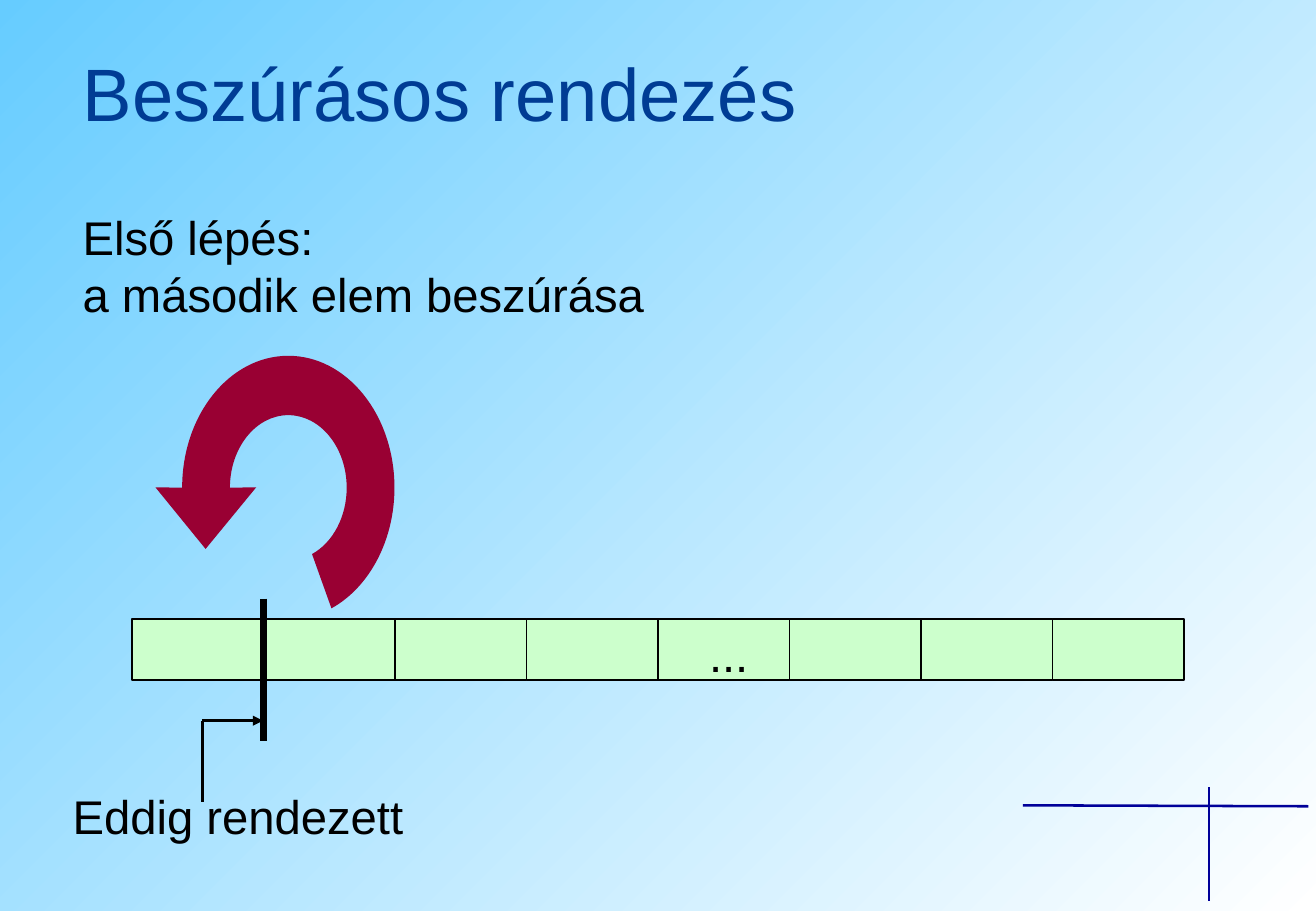
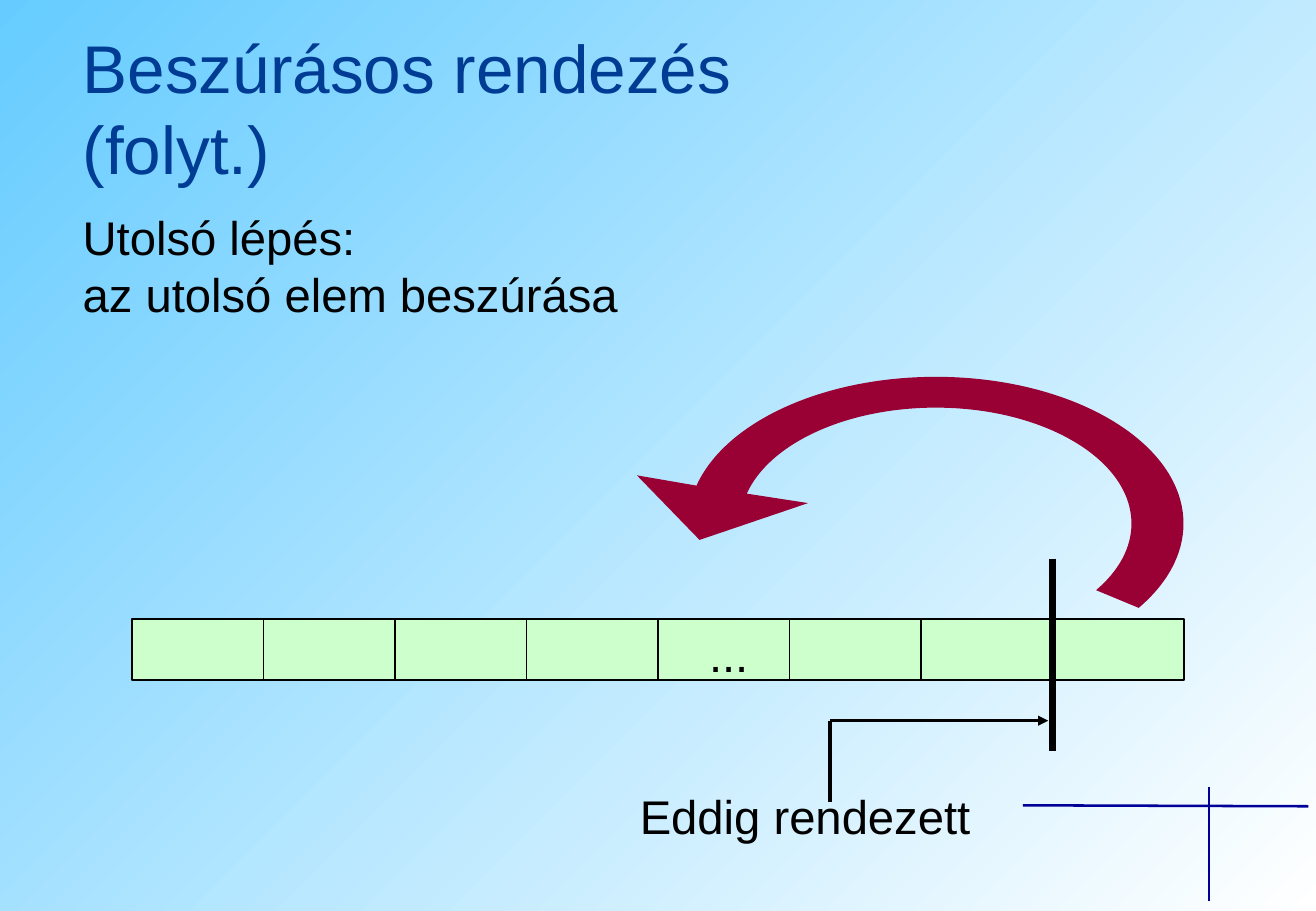
from math import cos, radians, sin, tan

from lxml import etree
from pptx import Presentation
from pptx.dml.color import RGBColor
from pptx.enum.shapes import MSO_CONNECTOR, MSO_SHAPE
from pptx.enum.text import PP_ALIGN
from pptx.oxml.ns import qn
from pptx.util import Cm, Pt

STRAIGHT = MSO_CONNECTOR.STRAIGHT
RECTANGLE = MSO_SHAPE.RECTANGLE
LEFT, CENTER = PP_ALIGN.LEFT, PP_ALIGN.CENTER

COLORS = {
    "title": "003C94",
    "text": "000000",
    "cross": "000099",
    "cell": "CCFFCC",
    "arrow": "990033",
    "sky": "66CCFF",
    "white": "FFFFFF",
}
FRAME = {
    "word_wrap": True,
    "margin_left": Cm(0.25),
    "margin_right": Cm(0.25),
    "margin_top": Cm(0.13),
    "margin_bottom": Cm(0.13),
}

# Array of cells, in cm
CELL_COUNT = 8
CELL_WIDTH, CELL_HEIGHT = 2.75, 1.27
ARRAY_LEFT, ARRAY_TOP = 2.76, 12.95

# Left edge of title and step text, height of the pointer line, in cm
TEXT_LEFT = 1.48
POINTER_TOP, POINTER_BOTTOM = 15.07, 16.77

STEPS = [
    {
        "title": ("Beszúrásos rendezés", 0.85, 22.86, 2.13, 44),
        "step": "Első lépés:\va második elem beszúrása",
        "arc": {
            "center": (6.03, 10.2), "radii": (2.22, 2.76), "inner": 0.55,
            "angles": [66, 0, -90, -180],
            "head": [(3.25, 10.19), (4.3, 11.48), (5.36, 10.19)],
        },
        "sorted_cells": 1,
        "divider": (12.52, 15.5),
        "label_left": 1.27,
        "pointer": (4.23, 5.5),
    },
    {
        "title": ("Beszúrásos rendezés (folyt.)", 0.42, 15.44, 3.66, 40),
        "step": "Utolsó lépés:\vaz utolsó elem beszúrása",
        "arc": {
            "center": (19.57, 10.95), "radii": (5.18, 3.07), "inner": 0.79,
            "angles": [35, 0, -90, -165],
            "head": [(13.32, 9.94), (14.63, 11.29), (16.9, 10.52)],
        },
        "sorted_cells": 7,
        "divider": (11.68, 15.7),
        "label_left": 13.13,
        "pointer": (17.36, 21.92),
    },
]


def rgb(name):
    return RGBColor.from_string(COLORS[name])


def ellipse_point(center, radii, angle):
    turn = radians(angle)
    return (center[0] + radii[0] * cos(turn), center[1] + radii[1] * sin(turn))


def ellipse_curves(center, radii, angles):
    """Bezier segments (two controls and an end) between the angles."""
    curves = []
    for first, last in zip(angles, angles[1:]):
        reach = 4 / 3 * tan(radians(last - first) / 4)
        start, end = (ellipse_point(center, radii, a) for a in (first, last))
        out, back = (ellipse_point((0, 0), radii, a + 90)
                     for a in (first, last))
        curves.append([
            (start[0] + reach * out[0], start[1] + reach * out[1]),
            (end[0] - reach * back[0], end[1] - reach * back[1]),
            end,
        ])
    return curves


class Deck:
    """Holds the shared style and the slide being drawn."""

    def __init__(self):
        self.prs = Presentation()
        self.prs.slide_width, self.prs.slide_height = Cm(27.52), Cm(19.05)
        self.slide = None
        sky = self.prs.slide_master.background.fill
        sky.gradient()
        sky.gradient_angle = 135
        for stop, color in zip(sky.gradient_stops, ("white", "sky")):
            stop.color.rgb = rgb(color)

    def new_slide(self):
        self.slide = self.prs.slides.add_slide(self.prs.slide_layouts[6])
        self.line((21.39, 16.84), (27.36, 16.86), "cross", 1.5)
        self.line((25.28, 16.46), (25.28, 18.85), "cross", 1.5)

    def line(self, start, end, color, width, arrowhead=False):
        ends = [Cm(value) for value in (*start, *end)]
        connector = self.slide.shapes.add_connector(STRAIGHT, *ends)
        connector.line.color.rgb = rgb(color)
        connector.line.width = Pt(width)
        properties = connector._element.spPr
        if arrowhead:
            outline = properties.find(qn("a:ln"))
            etree.SubElement(outline, qn("a:tailEnd"), type="triangle")
        etree.SubElement(properties, qn("a:effectLst"))

    def text(self, words, left, top, width, height, size=28, color="text",
             align=LEFT):
        place = [Cm(value) for value in (left, top, width, height)]
        frame = self.slide.shapes.add_textbox(*place).text_frame
        for name, value in FRAME.items():
            setattr(frame, name, value)
        frame.text = words
        paragraph = frame.paragraphs[0]
        paragraph.alignment = align
        for run in paragraph.runs:
            for name, value in {"name": "Arial", "size": Pt(size)}.items():
                setattr(run.font, name, value)
            run.font.color.rgb = rgb(color)

    def array(self):
        cells = self.slide.shapes.add_group_shape().shapes
        for index in range(CELL_COUNT):
            cell = cells.add_shape(
                RECTANGLE, Cm(ARRAY_LEFT + index * CELL_WIDTH), Cm(ARRAY_TOP),
                Cm(CELL_WIDTH), Cm(CELL_HEIGHT))
            cell.shadow.inherit = False
            cell.fill.solid()
            cell.fill.fore_color.rgb = rgb("cell")
            cell.line.color.rgb = rgb("text")
            cell.line.width = Pt(1)
        self.text("...", 13.97, ARRAY_TOP, 2.54, 1.45, align=CENTER)

    def curved_arrow(self, center, radii, inner, angles, head):
        inner_radii = [inner * radius for radius in radii]
        back = angles[::-1]
        start = ellipse_point(center, radii, angles[0])
        inner_start = ellipse_point(center, inner_radii, back[0])
        segments = [
            *ellipse_curves(center, radii, angles),
            *([corner] for corner in (*head, inner_start)),
            *ellipse_curves(center, inner_radii, back),
        ]
        corners = [(Cm(x), Cm(y)) for x, y in (s[-1] for s in segments)]
        builder = self.slide.shapes.build_freeform(Cm(start[0]), Cm(start[1]))
        builder.add_line_segments(corners, close=True)
        arrow = builder.convert_to_shape()

        # Bend the sides that run along the ellipses
        sides = list(arrow._element.iter(qn("a:lnTo")))
        for side, (*controls, _) in zip(sides, segments):
            if controls:
                side.tag = qn("a:cubicBezTo")
            for index, (x, y) in enumerate(controls):
                side.insert(index, etree.Element(
                    qn("a:pt"), x=str(Cm(x) - arrow.left),
                    y=str(Cm(y) - arrow.top)))

        arrow.shadow.inherit = False
        arrow.fill.solid()
        arrow.fill.fore_color.rgb = rgb("arrow")
        arrow.line.fill.background()


def main():
    deck = Deck()
    for step in STEPS:
        deck.new_slide()

        # Title and step
        title, top, width, height, size = step["title"]
        deck.text(title, TEXT_LEFT, top, width, height, size, "title")
        deck.text(step["step"], TEXT_LEFT, 4.23, 19, 2.64)

        # Array, insertion arrow and border of the sorted part
        deck.array()
        deck.curved_arrow(**step["arc"])
        border = ARRAY_LEFT + step["sorted_cells"] * CELL_WIDTH
        top, bottom = step["divider"]
        deck.line((border, top), (border, bottom), "text", 4.5)

        # Label with its pointer
        deck.text("Eddig rendezett", step["label_left"], 16.33, 9.73, 1.45)
        stem, tip = step["pointer"]
        corner = (stem, POINTER_TOP)
        deck.line(corner, (tip, POINTER_TOP), "text", 2, arrowhead=True)
        deck.line(corner, (stem, POINTER_BOTTOM), "text", 2)

    deck.prs.save("out.pptx")


if __name__ == "__main__":
    main()
